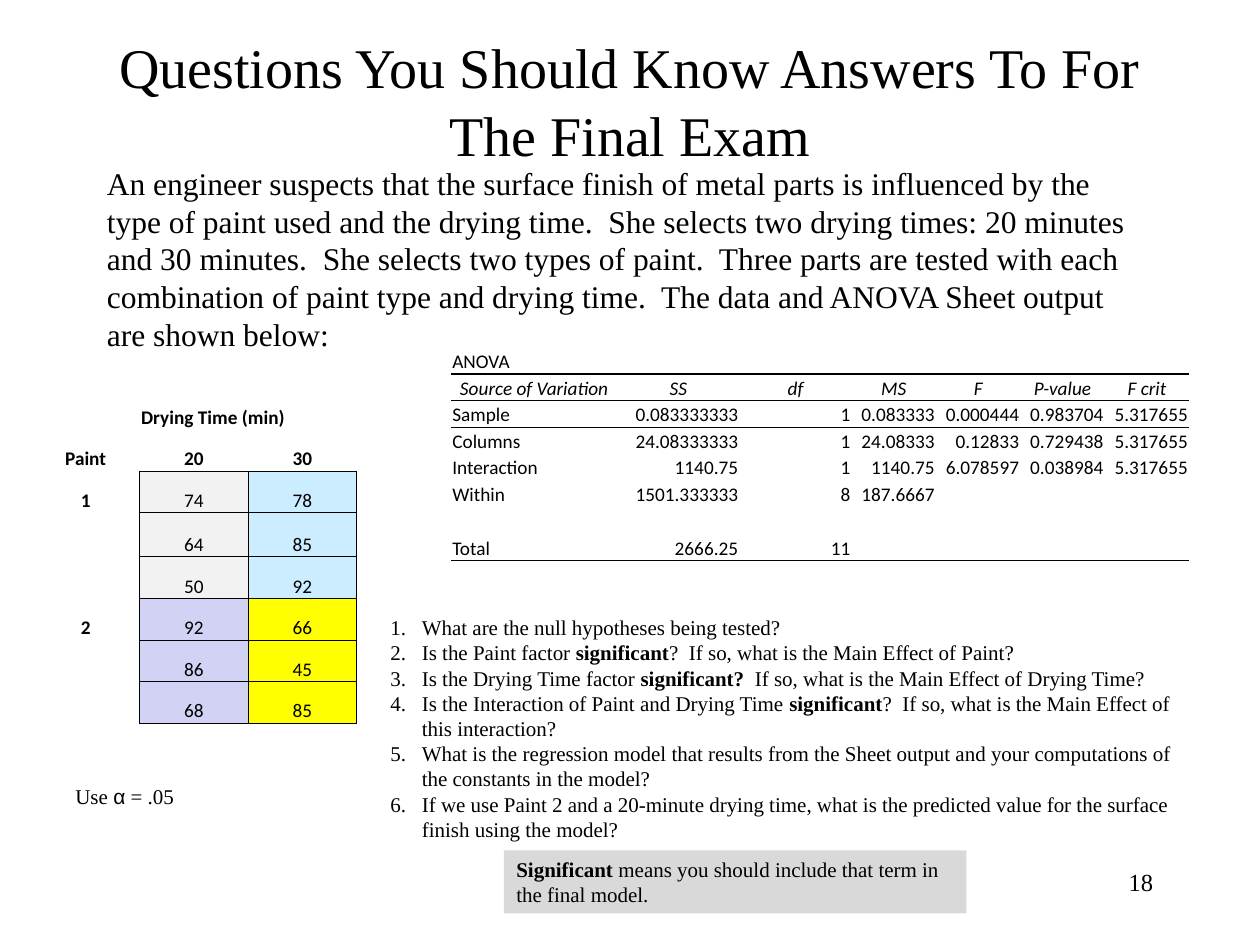
from pptx import Presentation
from pptx.dml.color import RGBColor
from pptx.enum.shapes import MSO_SHAPE
from pptx.enum.text import MSO_ANCHOR, PP_ALIGN
from pptx.oxml.ns import qn
from pptx.util import Inches, Pt
from lxml.etree import SubElement

COLORS = {"text": "000000", "grey": "F2F2F2", "blue": "CCECFF",
          "lilac": "D2D2F4", "yellow": "FFFF00", "note": "D9D9D9"}
NO_STYLE = "{2D5ABB26-0587-4C30-8999-92F81FD0307C}"
LEFT, CENTER, RIGHT = PP_ALIGN.LEFT, PP_ALIGN.CENTER, PP_ALIGN.RIGHT

INTRO = ("An engineer suspects that the surface finish of metal parts is influenced by the "
         "type of paint used and the drying time.  She selects two drying times: 20 minutes "
         "and 30 minutes.  She selects two types of paint.  Three parts are tested with each "
         "combination of paint type and drying time.  The data and ANOVA Sheet output are "
         "shown below:")

QUESTIONS = [
    "What are the null hypotheses being tested?",
    "Is the Paint factor **significant**?  If so, what is the Main Effect of Paint?",
    "Is the Drying Time factor **significant?**  If so, what is the Main Effect of Drying Time?",
    "Is the Interaction of Paint and Drying Time **significant**?  If so, what is the Main "
    "Effect of this interaction?",
    "What is the regression model that results from the Sheet output and your computations "
    "of the constants in the model?",
    "If we use Paint 2 and a 20-minute drying time, what is the predicted value for the "
    "surface finish using the model?",
]

ANOVA = [
    ["ANOVA"],
    ["Source of Variation", "SS", "df", "MS", "F", "P-value", "F crit"],
    ["Sample", "0.083333333", "1", "0.083333", "0.000444", "0.983704", "5.317655"],
    ["Columns", "24.08333333", "1", "24.08333", "0.12833", "0.729438", "5.317655"],
    ["Interaction", "1140.75", "1", "1140.75", "6.078597", "0.038984", "5.317655"],
    ["Within", "1501.333333", "8", "187.6667"],
    [],
    ["Total", "2666.25", "11"],
]

DRYING = [
    ["", "Drying Time (min)"],
    ["Paint", "20", "30"],
    ["1", "74", "78"],
    ["", "64", "85"],
    ["", "50", "92"],
    ["2", "92", "66"],
    ["", "86", "45"],
    ["", "68", "85"],
]


class Deck:
    """Holds the text style and the current slide."""

    def __init__(self, slide, font="Times New Roman", table_font="Calibri"):
        self.s, self.font, self.table_font = slide, font, table_font

    def style(self, r, size, font=None, bold=False, italic=False):
        r.font.name = font or self.font
        r.font.size = Pt(size)
        r.font.bold, r.font.italic = bold, italic
        r.font.color.rgb = RGBColor.from_string(COLORS["text"])

    def fill_text(self, tf, lines, size, align=LEFT, numbered=False):
        """Write one paragraph per line; ** switches bold on and off."""
        tf.word_wrap = True
        for i, line in enumerate(lines):
            p = tf.add_paragraph() if i else tf.paragraphs[0]
            p.alignment = align
            for j, part in enumerate(line.split("**")):
                if part:
                    r = p.add_run()
                    r.text = part
                    self.style(r, size, bold=j % 2 == 1)
            if numbered:
                pPr = p._p.get_or_add_pPr()
                pPr.set("marL", str(Inches(0.25)))
                pPr.set("indent", str(-Inches(0.25)))
                SubElement(pPr, qn("a:buFont"), typeface="+mj-lt")
                SubElement(pPr, qn("a:buAutoNum"), type="arabicPeriod")

    def title(self, text, x, y, w, h):
        sp = self.s.shapes.title
        sp.left, sp.top, sp.width, sp.height = map(Inches, (x, y, w, h))
        sp.text_frame.vertical_anchor = MSO_ANCHOR.MIDDLE
        self.fill_text(sp.text_frame, [text], 32, CENTER)

    def text(self, lines, x, y, w, h, size=12, **options):
        sp = self.s.shapes.add_textbox(*map(Inches, (x, y, w, h)))
        self.fill_text(sp.text_frame, lines, size, **options)
        return sp

    def note(self, text, x, y, w, h):
        sp = self.s.shapes.add_shape(MSO_SHAPE.RECTANGLE, *map(Inches, (x, y, w, h)))
        sp.shadow.inherit = False
        sp.fill.solid()
        sp.fill.fore_color.rgb = RGBColor.from_string(COLORS["note"])
        sp.line.fill.background()
        sp.text_frame.vertical_anchor = MSO_ANCHOR.TOP
        self.fill_text(sp.text_frame, [text], 12)

    def table(self, x, y, widths, heights):
        frame = self.s.shapes.add_table(len(heights), len(widths), *map(
            Inches, (x, y, sum(widths), sum(heights))))
        t = frame.table
        t.first_row = t.horz_banding = False
        t._tbl.tblPr.find(qn("a:tableStyleId")).text = NO_STYLE
        for col, w in zip(t.columns, widths):
            col.width = Inches(w)
        for row, h in zip(t.rows, heights):
            row.height = Inches(h)
        return t

    def cell(self, c, text, align, borders, fill=None, **font):
        """Fill a table cell; borders maps a side (L, R, T, B) to points."""
        c.margin_left = c.margin_right = c.margin_top = Inches(0.01)
        c.margin_bottom = 0
        c.vertical_anchor = MSO_ANCHOR.BOTTOM
        p = c.text_frame.paragraphs[0]
        p.alignment = align
        if text:
            p.text = text
            self.style(p.runs[0], 11, self.table_font, **font)
        else:
            SubElement(p._p, qn("a:endParaRPr"), sz="1100")
        for side in "LRTB":
            if side in borders:
                ln = SubElement(c._tc.get_or_add_tcPr(), qn("a:ln" + side),
                                w=str(Pt(borders[side])))
                SubElement(SubElement(ln, qn("a:solidFill")), qn("a:srgbClr"),
                           val=COLORS["text"])
        if fill:
            c.fill.solid()
            c.fill.fore_color.rgb = RGBColor.from_string(COLORS[fill])
        else:
            c.fill.background()

    def anova_table(self, x, y):
        t = self.table(x, y, [1.32, 0.97, 0.89] + [0.67] * 4, [0.22] + [0.21] * 6 + [0.22])
        rules = {0: {"B": 1}, 1: {"T": 1, "B": 0.5}, 2: {"T": 0.5}, 7: {"B": 1}}
        for i, row in enumerate(ANOVA):
            for j in range(len(t.columns)):
                align = CENTER if i == 1 else RIGHT if j else LEFT
                self.cell(t.cell(i, j), row[j] if j < len(row) else "", align,
                          rules.get(i, {}), italic=i == 1)

    def drying_table(self, x, y):
        t = self.table(x, y, [0.86] * 3, [0.33] * 3 + [0.35] + [0.33] * 4)
        t.cell(0, 1).merge(t.cell(0, 2))
        fills = [("grey", "blue"), ("lilac", "yellow")]
        for i, row in enumerate(DRYING):
            for j, value in enumerate(row):
                data = i > 1 and j > 0
                if data:
                    sides = "LRTB"
                elif i > 1:
                    sides = "R"
                else:
                    sides = "B" if i == 1 and j else ""
                self.cell(t.cell(i, j), value, CENTER if i else LEFT,
                          dict.fromkeys(sides, 0.5),
                          fills[(i - 2) // 3][j - 1] if data else None, bold=not data)


def main():
    prs = Presentation()
    prs.slide_width, prs.slide_height = Inches(10), Inches(7.5)
    deck = Deck(prs.slides.add_slide(prs.slide_layouts[5]))
    deck.title("Questions You Should Know Answers To For The Final Exam", 0.75, 0.17, 8.5, 1.25)
    deck.text(["18"], 7.17, 6.83, 2.08, 0.5, size=14, align=RIGHT)
    deck.text([INTRO], 0.75, 1.25, 8.42, 2.22, size=18)
    deck.anova_table(3.58, 2.75)
    deck.drying_table(0.25, 3.08)
    deck.text(QUESTIONS, 3, 4.83, 6.5, 1.92, numbered=True)
    alpha = deck.text(["Use **α** = .05"], 0.5, 6.17, 1.83, 0.3)
    deck.style(alpha.text_frame.paragraphs[0].runs[1], 12, "Arial")
    deck.note("**Significant **means you should include that term in the final model.",
              4, 6.75, 3.67, 0.5)
    prs.save("out.pptx")


if __name__ == "__main__":
    main()
